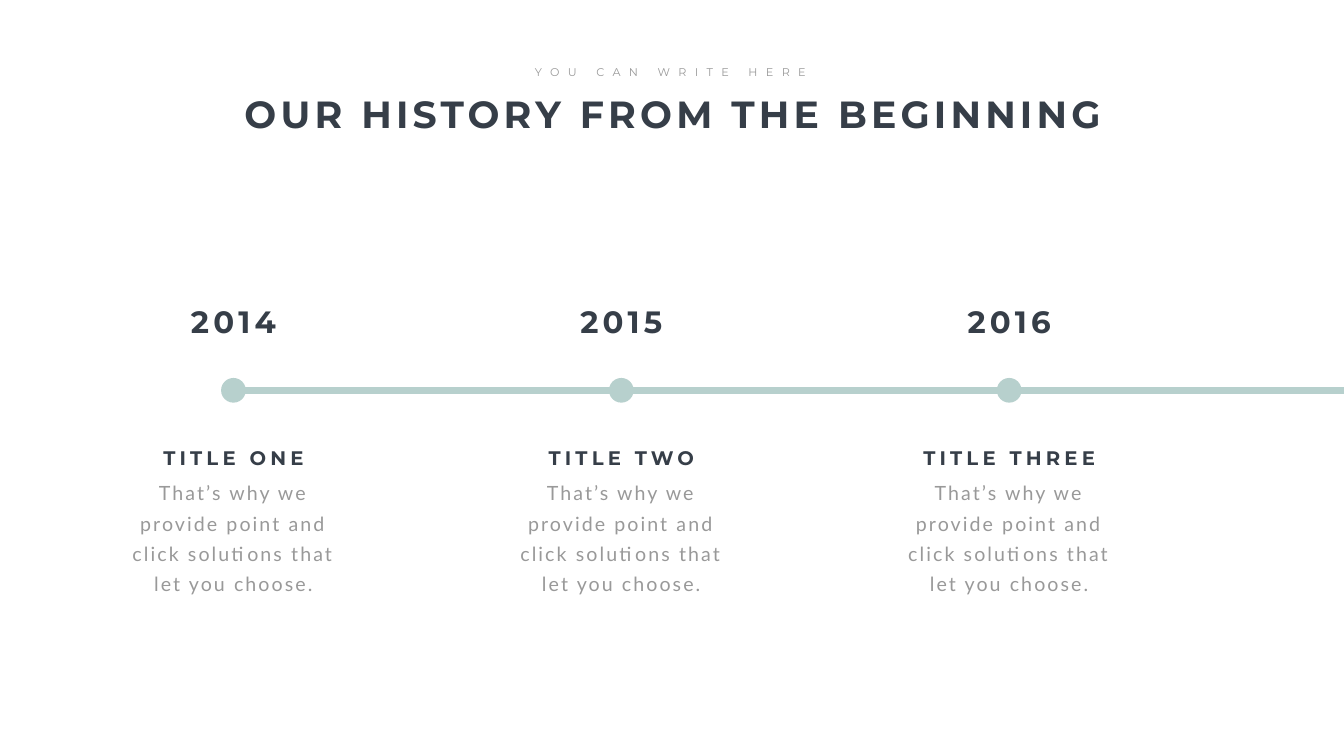
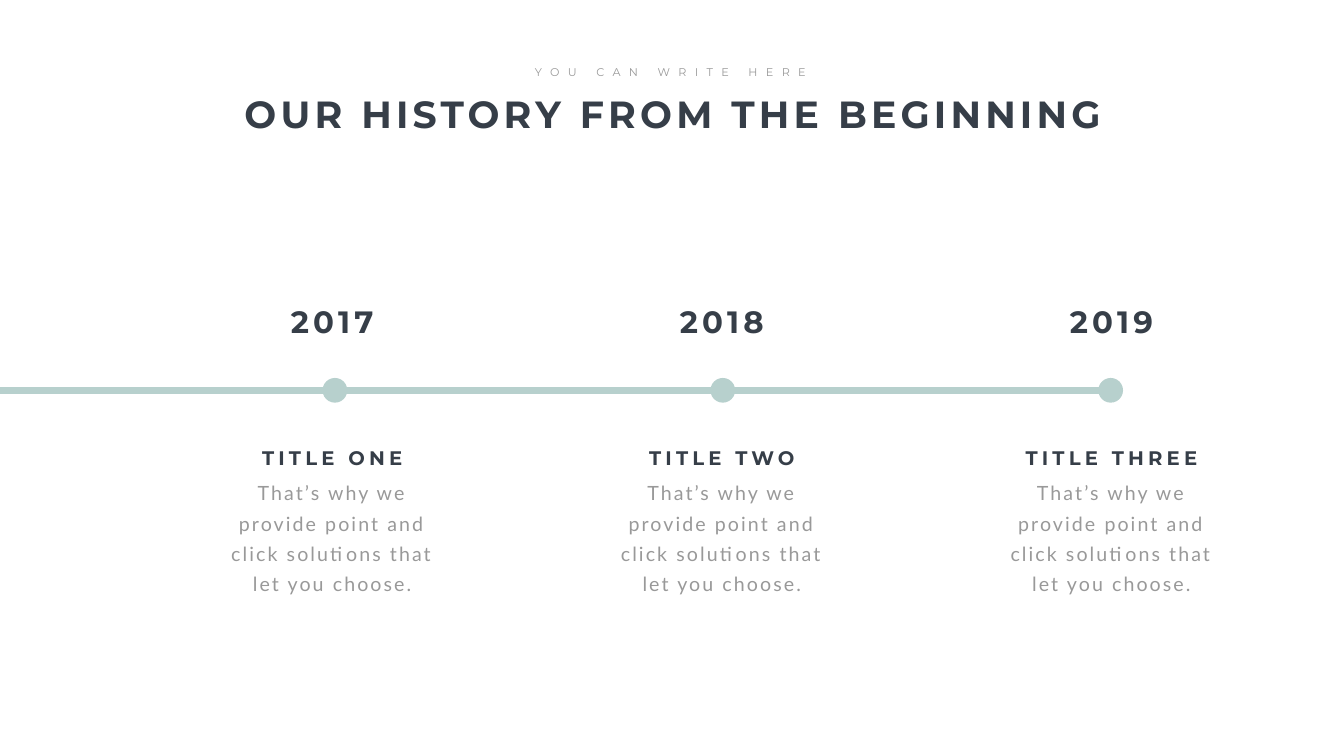
"""Build a two-slide company history timeline."""
from dataclasses import dataclass

from lxml import etree
from pptx import Presentation
from pptx.dml.color import RGBColor
from pptx.enum.shapes import MSO_CONNECTOR, MSO_SHAPE
from pptx.enum.text import MSO_ANCHOR, MSO_AUTO_SIZE, PP_ALIGN
from pptx.oxml.ns import qn
from pptx.shapes.base import BaseShape
from pptx.slide import Slide
from pptx.util import Inches, Pt

STRAIGHT = MSO_CONNECTOR.STRAIGHT
OVAL = MSO_SHAPE.OVAL
TOP = MSO_ANCHOR.TOP
GROW = MSO_AUTO_SIZE.SHAPE_TO_FIT_TEXT
CENTER = PP_ALIGN.CENTER

DARK = RGBColor(0x36, 0x3E, 0x48)
GREY = RGBColor(0x99, 0x99, 0x99)
TEAL = RGBColor(0xB7, 0xD0, 0xCD)

WIDTH, HEIGHT = Inches(26.66), Inches(15)
COLUMN, ROW = WIDTH / 100, HEIGHT / 100
TITLE_ONLY = 5

TITLE = "OUR HISTORY FROM THE BEGINNING"
SUBTITLE = "YOU CAN WRITE HERE"
HEADINGS = ("TITLE ONE", "TITLE TWO", "TITLE THREE")
DESCRIPTION = "That’s why we provide point and click solutions that let you choose."

TITLE_CENTER, SUBTITLE_CENTER = 50.08, 49.89
AXIS_ROW = 51.63
AXIS_WEIGHT = Pt(10)
DOT_SIZE = round(1.84 * COLUMN)


@dataclass(frozen=True)
class TextStyle:
    """Place in grid units and look of one kind of text."""
    top: float
    width: float
    height: float
    size: int
    spacing: int
    color: RGBColor = DARK
    font: str = "Montserrat"
    bold: bool = True
    wrap: bool = True
    leading: int | None = None


@dataclass(frozen=True)
class Timeline:
    """Years with the columns of their dots and texts."""
    years: tuple[int, ...]
    first_dot: float
    first_text: float
    text_pitch: float
    edge: float
    end_dot: int
    dot_pitch: float = 28.86


TITLE_STYLE = TextStyle(11.6, 65.57, 6.73, 54, 6, wrap=False)
SUBTITLE_STYLE = TextStyle(8.27, 21.68, 2.47, 16, 12, GREY, bold=False, wrap=False)
YEAR_STYLE = TextStyle(39.67, 12.23, 5.6, 44, 6)
HEADING_STYLE = TextStyle(58.67, 16.54, 3.8, 28, 6)
BODY_STYLE = TextStyle(62.47, 16.54, 16.4, 28, 3, GREY, "Lato", bold=False, leading=43)

TIMELINES = (
    Timeline((2014, 2015, 2016), 17.37, 17.37, 28.86, edge=100, end_dot=0),
    Timeline((2017, 2018, 2019), 24.92, 24.72, 28.99, edge=0, end_dot=2),
)


def write_text(box: BaseShape, text: str, center: float, style: TextStyle) -> None:
    """Place a text shape around a column and format its paragraph."""
    box.left, box.top = round((center - style.width / 2) * COLUMN), round(style.top * ROW)
    box.width, box.height = round(style.width * COLUMN), round(style.height * ROW)
    frame = box.text_frame
    frame.word_wrap = style.wrap
    frame.auto_size = GROW
    frame.vertical_anchor = TOP
    frame.text = text
    para = frame.paragraphs[0]
    para.alignment = CENTER
    if style.leading:
        para.line_spacing = Pt(style.leading)
    font = para.font
    font.name, font.size, font.bold = style.font, Pt(style.size), style.bold
    font.color.rgb = style.color
    para._p.get_or_add_pPr().get_or_add_defRPr().set("spc", str(style.spacing * 100))


def add_text(page: Slide, text: str, center: float, style: TextStyle) -> None:
    """Add a text box centred on a column."""
    write_text(page.shapes.add_textbox(0, 0, 0, 0), text, center, style)


def add_axis(page: Slide, start: float, end: float) -> None:
    """Draw the horizontal timeline between two columns."""
    level = round(AXIS_ROW * ROW)
    axis = page.shapes.add_connector(
        STRAIGHT, round(start * COLUMN), level, round(end * COLUMN), level)
    axis.line.color.rgb = TEAL
    axis.line.width = AXIS_WEIGHT
    etree.SubElement(axis._element.spPr, qn("a:effectLst"))


def add_dot(page: Slide, center: float) -> None:
    """Mark one year on the timeline."""
    dot = page.shapes.add_shape(
        OVAL, round(center * COLUMN - DOT_SIZE / 2),
        round(AXIS_ROW * ROW - DOT_SIZE / 2), DOT_SIZE, DOT_SIZE)
    dot.shadow.inherit = False
    dot.fill.solid()
    dot.fill.fore_color.rgb = TEAL
    dot.line.fill.background()


def add_timeline(page: Slide, timeline: Timeline) -> None:
    """Draw the axis, its dots and the text of each year."""
    dots = [timeline.first_dot + index * timeline.dot_pitch
            for index in range(len(timeline.years))]
    add_axis(page, timeline.edge, dots[timeline.end_dot])
    for center in dots:
        add_dot(page, center)
    for index, (year, heading) in enumerate(zip(timeline.years, HEADINGS)):
        center = timeline.first_text + index * timeline.text_pitch
        add_text(page, DESCRIPTION, center, BODY_STYLE)
        add_text(page, heading, center, HEADING_STYLE)
        add_text(page, str(year), center, YEAR_STYLE)


def main() -> None:
    """Build and save the deck."""
    deck = Presentation()
    deck.slide_width, deck.slide_height = WIDTH, HEIGHT
    for timeline in TIMELINES:
        page = deck.slides.add_slide(deck.slide_layouts[TITLE_ONLY])
        write_text(page.shapes.title, TITLE, TITLE_CENTER, TITLE_STYLE)
        add_text(page, SUBTITLE, SUBTITLE_CENTER, SUBTITLE_STYLE)
        add_timeline(page, timeline)
    deck.save("out.pptx")


if __name__ == "__main__":
    main()
